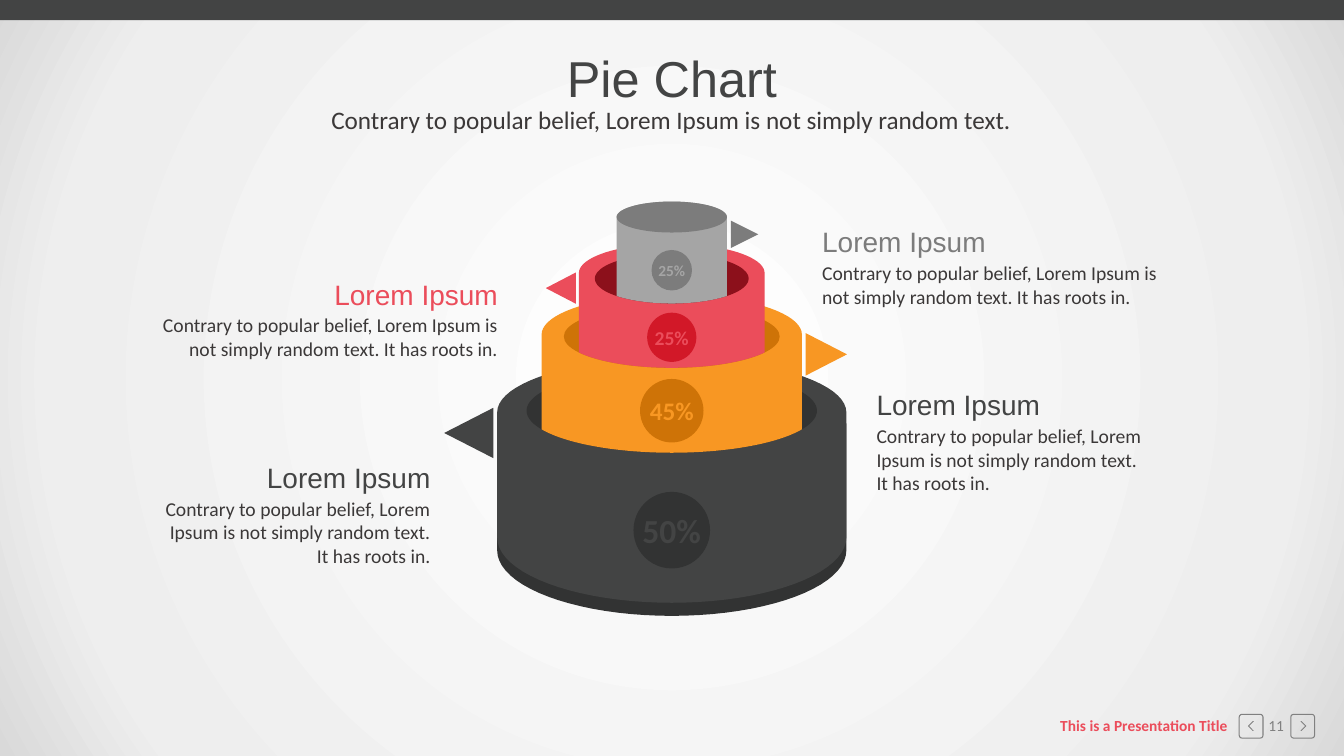
"""Build a slide with a tiered pie chart of four nested cylinders and their labels."""
from math import asin, cos, pi, sin

from pptx import Presentation
from pptx.dml.color import RGBColor as RGB
from pptx.enum.shapes import MSO_SHAPE as Kind
from pptx.enum.text import MSO_ANCHOR as Anchor, PP_ALIGN as Align
from pptx.oxml import parse_xml
from pptx.util import Cm, Pt

DARK = RGB(0x43, 0x44, 0x44)
COAL = RGB(0x32, 0x33, 0x33)
GOLD = RGB(0xF8, 0x97, 0x23)
RUST = RGB(0xCE, 0x73, 0x07)
ROSE = RGB(0xEB, 0x4D, 0x5B)
RUBY = RGB(0xD2, 0x18, 0x28)
WINE = RGB(0x8C, 0x10, 0x1B)
ASH = RGB(0xA5, 0xA5, 0xA5)
SLATE = RGB(0x7C, 0x7C, 0x7C)
GREY = RGB(0x80, 0x80, 0x80)
INK = RGB(0x3B, 0x38, 0x38)
MID = 16.93
STEPS = 40

deck = Presentation()
deck.slide_width, deck.slide_height = Cm(33.87), Cm(19.05)
slide = deck.slides.add_slide(deck.slide_layouts[6])
shapes = slide.shapes

stops = "".join(
    f'<a:gs pos="{pos}000"><a:srgbClr val="{tone}"/></a:gs>'
    for pos, tone in ((0, "FFFFFF"), (81, "EEEEEE"), (100, "D9D9D9")))
slide.element.cSld.insert(0, parse_xml(
    '<p:bg xmlns:p="http://schemas.openxmlformats.org/presentationml/2006/main"'
    ' xmlns:a="http://schemas.openxmlformats.org/drawingml/2006/main"><p:bgPr>'
    f'<a:gradFill rotWithShape="1"><a:gsLst>{stops}</a:gsLst><a:path path="circle">'
    '<a:fillToRect l="50000" t="50000" r="50000" b="50000"/></a:path></a:gradFill>'
    '<a:effectLst/></p:bgPr></p:bg>'))


def draw(kind, left, top, width, height, tone):
    """Add a plain filled preset shape."""
    shape = shapes.add_shape(kind, Cm(left), Cm(top), Cm(width), Cm(height))
    shape.shadow.inherit = False
    shape.fill.solid()
    shape.fill.fore_color.rgb = tone
    shape.line.fill.background()
    return shape


def write(place, words, size, tone, align=Align.CENTER, face="Calibri", bold=False, wrap=True):
    """Put one run of text in a shape, or in a new box at the given place."""
    if isinstance(place, tuple):
        place = shapes.add_textbox(*map(Cm, place))
    frame = place.text_frame
    frame.word_wrap = wrap
    para = frame.paragraphs[0]
    para.alignment = align
    run = para.add_run()
    run.text = words
    run.font.size, run.font.name, run.font.bold = Pt(size), face, bold
    run.font.color.rgb = tone
    return frame


draw(Kind.RECTANGLE, 0, 0, 33.87, 0.51, DARK)
write((0, 1.07, 33.87, 1.8), "Pie Chart", 36, DARK, face="Arial")
write((7.57, 2.51, 18.69, 1.02),
      "Contrary to popular belief, Lorem Ipsum is not simply random text.", 18, INK)

foot = (4.4, 13.87, 1.65)
base = (4.4, 13.54, 1.65)
well = (3.66, 10.35, 1.06)
ring = (2.72, 8.48, 0.79)
core = (1.94, 7.02, 0.63)
lid = (1.39, 5.47, 0.39)
tiers = [
    (4.4, 10.67, 0, foot, COAL, None, None, None),
    (4.4, 10.39, 1.37, base, DARK, well, COAL, (13.36, 1.93, "50%", 24, COAL)),
    (3.28, 8.43, 1.01, well, GOLD, ring, RUST, (10.35, 1.6, "45%", 18, RUST)),
    (2.34, 6.88, 0.74, ring, ROSE, core, WINE, (8.5, 1.24, "25%", 14, RUBY)),
    (1.39, 5.47, 0.39, core, ASH, lid, SLATE, (6.81, 1.02, "25%", 11, SLATE)),
]
for half, rim, rise, seat, tone, hole, shade, badge in tiers:
    wide, mid, deep = seat
    span = asin(half / wide)
    turns = [2 * step / STEPS - 1 for step in range(STEPS + 1)]
    upper = [(MID + half * sin(t * pi / 2), rim - rise * cos(t * pi / 2)) for t in turns]
    lower = [(MID - wide * sin(t * span), mid + deep * cos(t * span)) for t in turns]
    dots = [(Cm(x), Cm(y)) for x, y in upper + lower]
    path = shapes.build_freeform(*dots[0], scale=1.0)
    path.add_line_segments(dots[1:], close=True)
    body = path.convert_to_shape()
    body.shadow.inherit = False
    body.fill.solid()
    body.fill.fore_color.rgb = tone
    body.line.fill.background()
    if hole:
        wide, mid, deep = hole
        draw(Kind.OVAL, MID - wide, mid - deep, 2 * wide, 2 * deep, shade)

for half, rim, rise, seat, tone, hole, shade, badge in tiers[1:]:
    mid, size, words, points, fill = badge
    disc = draw(Kind.OVAL, MID - size / 2, mid - size / 2, size, size, fill)
    frame = write(disc, words, points, tone, bold=True, wrap=False)
    frame.vertical_anchor = Anchor.MIDDLE
    frame.margin_left = frame.margin_right = frame.margin_top = frame.margin_bottom = 0

for left, top, width, height, turn, tone in (
        (11.18, 10.29, 1.27, 1.24, 270, DARK),
        (20.29, 8.41, 1.07, 1.04, 90, GOLD),
        (13.74, 6.88, 0.79, 0.76, 270, ROSE),
        (18.42, 5.56, 0.69, 0.69, 90, SLATE)):
    draw(Kind.ISOSCELES_TRIANGLE, left, top, width, height, tone).rotation = turn

for left, top, width, height, tone, align in (
        (3.81, 11.48, 7.29, 2.06, DARK, Align.RIGHT),
        (3.4, 6.86, 9.4, 1.45, ROSE, Align.RIGHT),
        (21.84, 9.65, 7.29, 2.06, DARK, Align.LEFT),
        (20.47, 5.54, 9.4, 1.45, SLATE, Align.LEFT)):
    start = left + width - 4.72 if align == Align.RIGHT else left
    write((start, top, 4.72, 1.12), "Lorem Ipsum", 20, tone, align, "Arial")
    write((left, top + 0.91, width, height),
          "Contrary to popular belief, Lorem Ipsum is not simply random text. "
          "It has roots in.", 14, INK, align)

write((26.47, 17.93, 4.78, 0.74), "This is a Presentation Title", 11, ROSE,
      Align.LEFT, bold=True, wrap=False)
write((31.6, 17.93, 1.12, 0.74), "11", 11, GREY)
for left, tip, turn in ((31.23, 31.45, 180), (32.53, 32.77, 0)):
    key = draw(Kind.ROUNDED_RECTANGLE, left, 18, 0.6, 0.6, GREY)
    key.adjustments[0] = 0.12
    key.fill.background()
    key.line.color.rgb = GREY
    key.line.width = Pt(0.75)
    mark = draw(Kind.CHEVRON, tip, 18.17, 0.15, 0.25, GREY)
    mark.adjustments[0] = 0.8
    mark.rotation = turn

deck.save("out.pptx")
